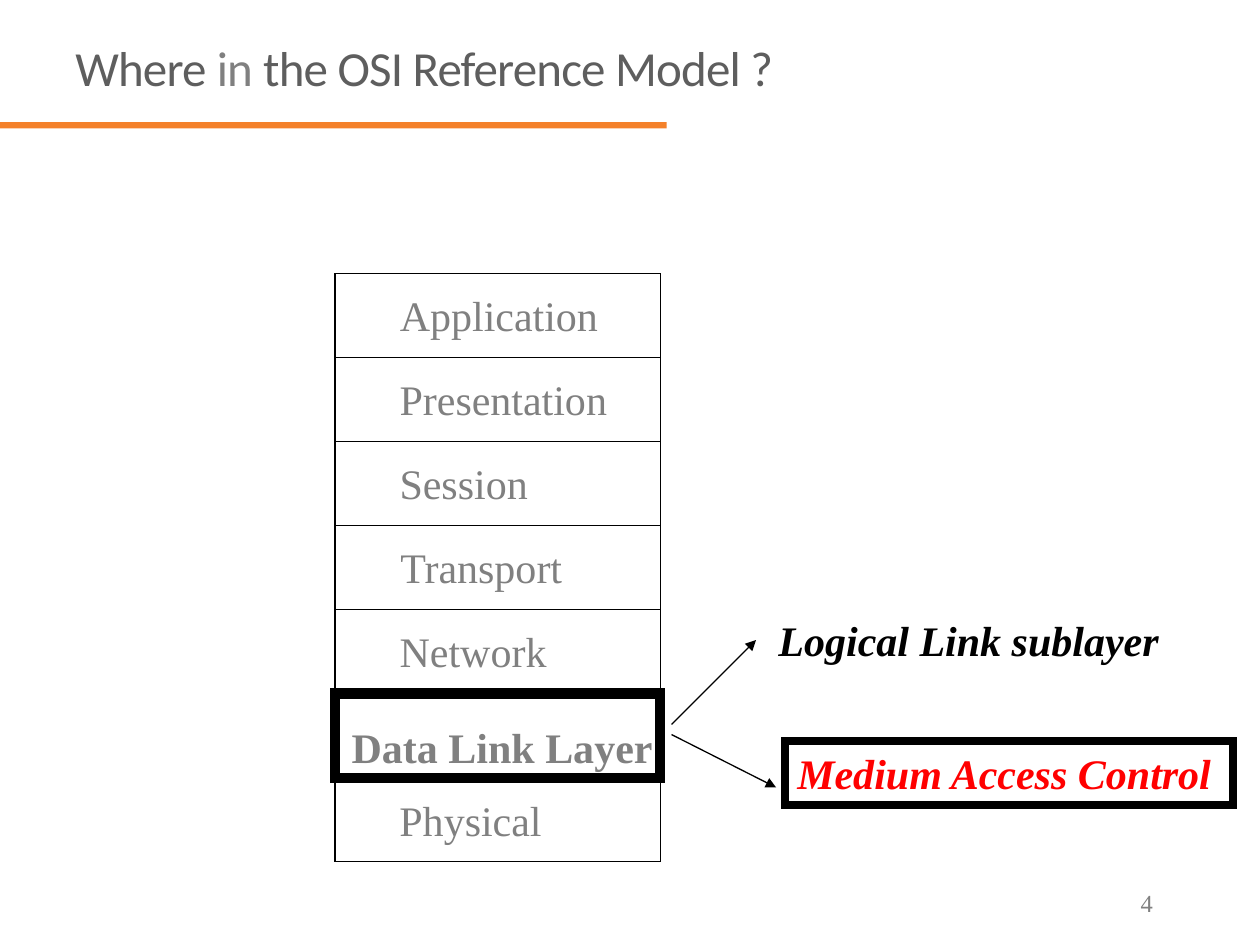
from dataclasses import dataclass
from pptx import Presentation
from pptx.dml.color import RGBColor as Rgb
from pptx.enum.shapes import MSO_CONNECTOR as Conn, MSO_SHAPE as Shape
from pptx.enum.text import (MSO_ANCHOR as Anchor, MSO_AUTO_SIZE as Fit,
                            PP_ALIGN as Align)
from pptx.oxml.ns import qn
from pptx.util import Inches, Pt
from lxml.etree import SubElement


@dataclass(frozen=True)
class Theme:
    head: str = "Calibri"
    body: str = "Times New Roman"
    dark: Rgb = Rgb(0x5E, 0x5E, 0x5E)
    gray: Rgb = Rgb(0x80, 0x80, 0x80)
    ink: Rgb = Rgb(0, 0, 0)
    red: Rgb = Rgb(0xFF, 0, 0)
    accent: Rgb = Rgb(0xF4, 0x81, 0x2A)
    title: int = 28
    text: int = 24
    small: int = 14


T = Theme()


def write(shape, text, color=T.gray, size=T.text, align=Align.LEFT,
          bold=False, italic=False, wrap=False):
    frame = shape.text_frame
    frame.word_wrap = wrap
    frame.auto_size = Fit.NONE if wrap else Fit.SHAPE_TO_FIT_TEXT
    frame.vertical_anchor = Anchor.TOP
    para = frame.paragraphs[0]
    para.text, para.alignment = text, align
    font = para.font
    font.name, font.size, font.color.rgb = T.body, Pt(size), color
    font.bold, font.italic = bold, italic


def label(slide, box, text, **style):
    shape = slide.shapes.add_textbox(*map(Inches, box))
    write(shape, text, **style)


def frame(slide, box, width):
    shape = slide.shapes.add_shape(Shape.RECTANGLE, *map(Inches, box))
    shape.shadow.inherit = False
    shape.fill.background()
    shape.line.color.rgb, shape.line.width = T.ink, Pt(width)
    # Square corners
    SubElement(shape.line._get_or_add_ln(), qn("a:miter"), lim="800000")
    return shape


def arrow(slide, start, end):
    line = slide.shapes.add_connector(Conn.STRAIGHT, *map(Inches, start + end))
    line.line.color.rgb, line.line.width = T.ink, Pt(0.75)
    SubElement(line.line._get_or_add_ln(), qn("a:tailEnd"), type="triangle")
    SubElement(line._element.spPr, qn("a:effectLst"))


def header(slide, box):
    x, y, w, h = box
    bar = slide.shapes.add_shape(Shape.RECTANGLE, 0, Inches(y + h),
                                 Inches(5.29), Inches(0.05))
    bar.shadow.inherit = False
    bar.fill.solid()
    bar.fill.fore_color.rgb = T.accent
    bar.line.fill.background()

    title = slide.shapes.add_textbox(*map(Inches, box))
    title.text_frame.word_wrap = True
    para = title.text_frame.paragraphs[0]
    para.line_spacing = 0.9
    para.font.name, para.font.size = T.head, Pt(T.title)
    for text, color in (("Where ", T.dark), ("in", T.gray),
                        (" the OSI Reference Model ?", T.dark)):
        run = para.add_run()
        run.text, run.font.color.rgb = text, color
        run._r.get_or_add_rPr().set("spc", "-45")


def stack(slide, box):
    x, y, w, h = box
    # Layer names with the widths of their labels
    layers = (("Application", 1.78), ("Presentation", 1.85), ("Session", 1.22),
              ("Transport", 1.5), ("Network", 1.37),
              ("Data Link Layer", 2.61), ("Physical", 1.33))
    step = h / len(layers)
    for i, (name, width) in enumerate(layers):
        top = y + i * step
        key = name == "Data Link Layer"
        frame(slide, (x, top, w, step), 6 if key else 0.75)
        dx, dy = (0.02, 0.17) if key else (0.41, 0.08)
        label(slide, (x + dx, top + dy, width, 0.5), name,
              align=Align.CENTER, bold=key)


def split(slide, box):
    x, y, w, h = box
    # Arrows from the data link layer
    arrow(slide, (x, y + 0.92), (x + 0.67, y + 0.25))
    arrow(slide, (x, y + 1), (x + 0.83, y + 1.42))
    # Sublayers
    label(slide, (x + 0.75, y, 3.25, 0.5), "Logical Link sublayer",
          color=T.ink, bold=True, italic=True)
    mac = frame(slide, (x + 0.9, y + h - 0.51, w - 0.9, 0.51), 4.5)
    write(mac, "Medium Access Control", color=T.red, bold=True, italic=True)


def main():
    deck = Presentation()
    deck.slide_width, deck.slide_height = Inches(10), Inches(7.5)
    slide = deck.slides.add_slide(deck.slide_layouts[6])
    header(slide, (0.5, 0.3, 9, 0.67))
    stack(slide, (2.66, 2.17, 2.58, 4.67))
    split(slide, (5.33, 4.83, 4.46, 1.56))
    # Page number
    label(slide, (8.42, 7, 0.83, 0.33), "4", size=T.small,
          align=Align.RIGHT, wrap=True)
    deck.save("out.pptx")


main()
